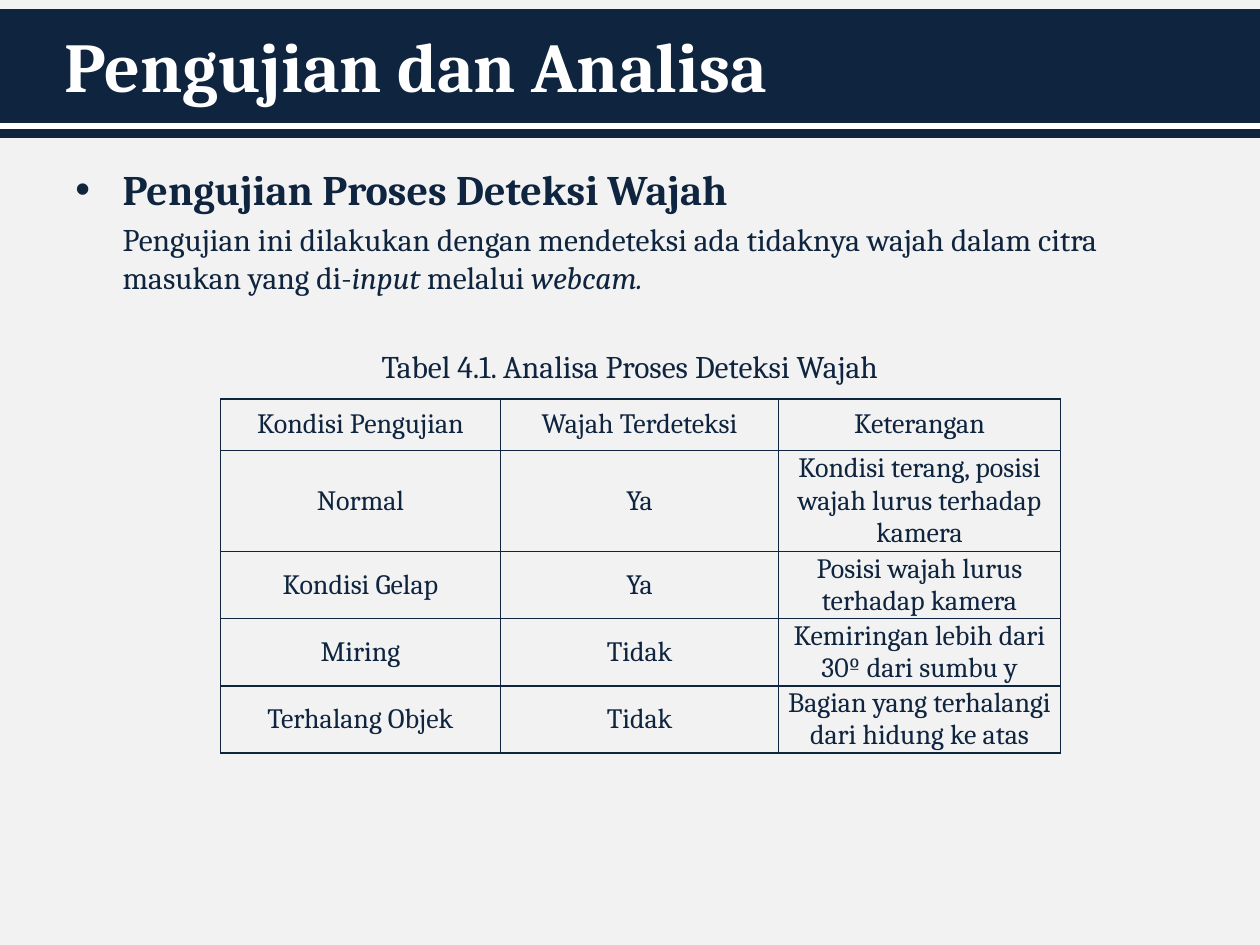
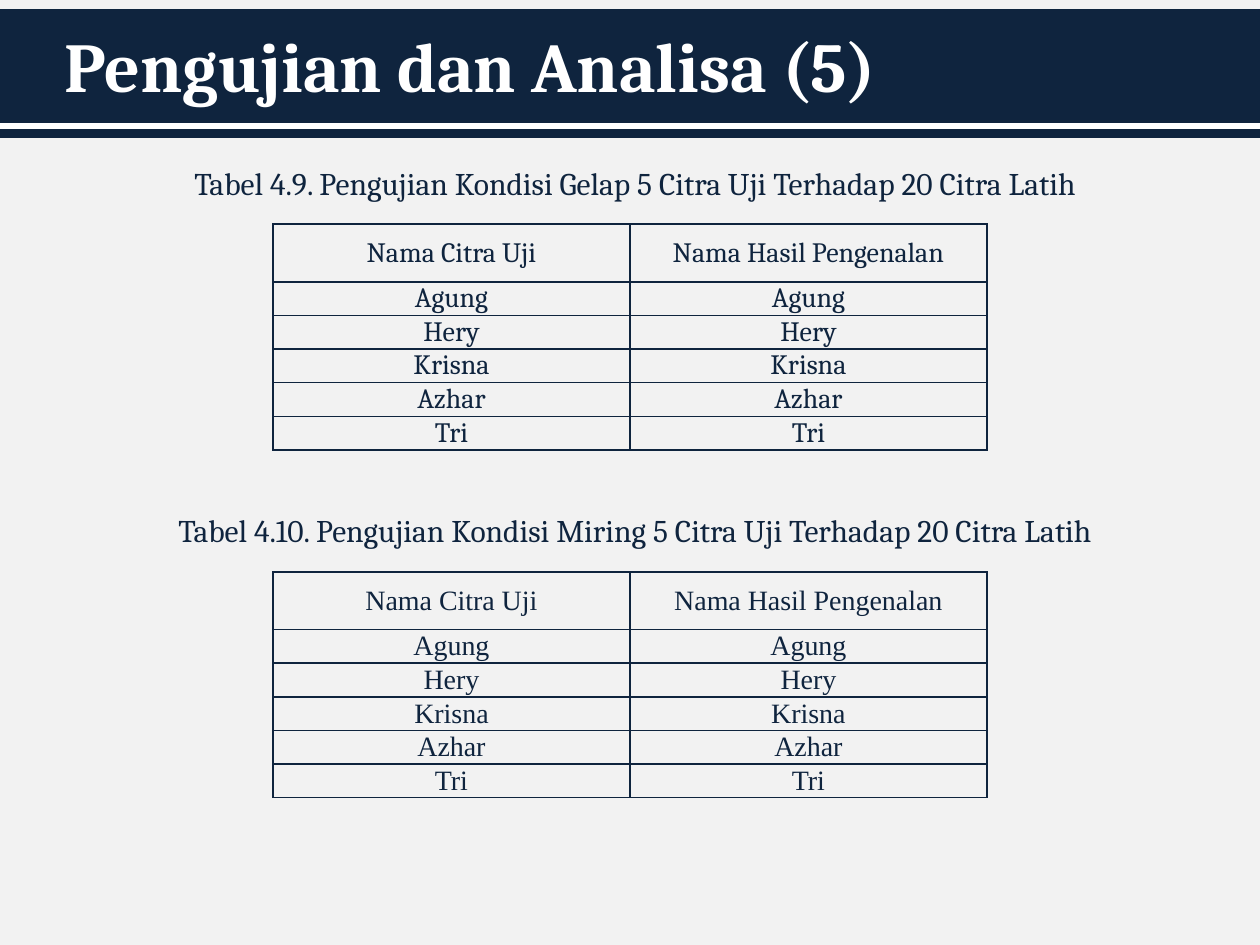
from lxml.etree import SubElement
from pptx import Presentation
from pptx.dml.color import RGBColor
from pptx.enum.shapes import MSO_CONNECTOR, MSO_SHAPE
from pptx.enum.text import MSO_ANCHOR, PP_ALIGN
from pptx.oxml.ns import qn
from pptx.util import Pt

NAVY = RGBColor(0x0F, 0x24, 0x3E)
WHITE = RGBColor(0xFF, 0xFF, 0xFF)
PALE = RGBColor(0xF2, 0xF2, 0xF2)
SERIF = "Cambria"
SLIDE_WIDTH, SLIDE_HEIGHT = 720, 540
BULLET_INDENT = 27

NAMES = ["Agung", "Hery", "Krisna", "Azhar", "Tri"]
RECOGNITION = [("Nama Citra Uji", "Nama Hasil Pengenalan")] + [(name, name) for name in NAMES]
DETECTION = [
    ("Kondisi Pengujian", "Wajah Terdeteksi", "Keterangan"),
    ("Normal", "Ya", "Kondisi terang, posisi wajah lurus terhadap kamera"),
    ("Kondisi Gelap", "Ya", "Posisi wajah lurus terhadap kamera"),
    ("Miring", "Tidak", "Kemiringan lebih dari 30º dari sumbu y"),
    ("Terhalang Objek", "Tidak", "Bagian yang terhalangi dari hidung ke atas"),
]
HEADING = "Pengujian Proses Deteksi Wajah"
EXPLANATION = [
    ("Pengujian ini dilakukan dengan mendeteksi ada tidaknya wajah dalam citra masukan yang di-", False),
    ("input ", True),
    ("melalui ", False),
    ("webcam.", True),
]
DETECTION_CAPTION = "Tabel 4.1. Analisa Proses Deteksi Wajah"
RECOGNITION_TESTS = [
    ("Tabel 4.9. Pengujian Kondisi Gelap 5 Citra Uji Terhadap 20 Citra Latih", SERIF),
    ("Tabel 4.10. Pengujian Kondisi Miring 5 Citra Uji Terhadap 20 Citra Latih", "Times New Roman"),
]


def write(paragraph, text, size=18, font=SERIF, color=NAVY, bold=False,
          align=PP_ALIGN.LEFT, before=0, indent=0, bullet=None):
    paragraph.alignment = align
    paragraph.space_before = Pt(before)
    runs = [(text, False)] if isinstance(text, str) else text
    for words, italic in runs:
        run = paragraph.add_run()
        run.text = words
        run.font.size, run.font.name = Pt(size), font
        run.font.bold, run.font.italic = bold, italic
        run.font.color.rgb = color
    properties = paragraph._p.get_or_add_pPr()
    properties.set("marL", str(Pt(indent)))
    properties.set("indent", str(Pt(-indent if bullet else 0)))
    if bullet:
        SubElement(properties, qn("a:buFont")).set("typeface", "Arial")
        SubElement(properties, qn("a:buChar")).set("char", bullet)


def add_frame(slide, left, top, width, height, anchor=MSO_ANCHOR.TOP):
    frame = slide.shapes.add_textbox(Pt(left), Pt(top), Pt(width), Pt(height)).text_frame
    frame.word_wrap = True
    frame.vertical_anchor = anchor
    return frame


def add_caption(slide, text, left, top, width):
    write(add_frame(slide, left, top, width, 29).paragraphs[0], text, align=PP_ALIGN.CENTER)


def add_titled_slide(title):
    slide = deck.slides.add_slide(deck.slide_layouts[6])
    band = slide.shapes.add_shape(MSO_SHAPE.RECTANGLE, 0, Pt(6), Pt(SLIDE_WIDTH), Pt(72))
    band.shadow.inherit = False
    band.fill.solid()
    band.fill.fore_color.rgb = NAVY
    band.line.color.rgb = NAVY
    band.line.width = Pt(2)
    stripe = slide.shapes.add_connector(MSO_CONNECTOR.STRAIGHT, 0, Pt(72), Pt(SLIDE_WIDTH), Pt(72))
    stripe.line.color.rgb = WHITE
    stripe.line.width = Pt(4)
    SubElement(stripe._element.spPr, qn("a:effectLst"))
    frame = add_frame(slide, 30, 0, 648, 74, MSO_ANCHOR.MIDDLE)
    write(frame.paragraphs[0], title, size=40, color=WHITE, bold=True)
    return slide


def outline(cell):
    properties = cell._tc.get_or_add_tcPr()
    for position, side in enumerate(("a:lnL", "a:lnR", "a:lnT", "a:lnB")):
        border = SubElement(properties, qn(side), w=str(Pt(1)))
        fill = SubElement(border, qn("a:solidFill"))
        SubElement(fill, qn("a:srgbClr"), val=str(NAVY))
        properties.insert(position, border)


def add_grid(slide, rows, left, top, widths, head_height, row_height, font=SERIF, before=0):
    heights = [head_height] + [row_height] * (len(rows) - 1)
    table = slide.shapes.add_table(len(rows), len(widths), Pt(left), Pt(top),
                                   Pt(sum(widths)), Pt(sum(heights))).table
    table.first_row = table.horz_banding = False
    for column, width in zip(table.columns, widths):
        column.width = Pt(width)
    for row, height, texts in zip(table.rows, heights, rows):
        row.height = Pt(height)
        for cell, text in zip(row.cells, texts):
            cell.fill.background()
            cell.vertical_anchor = MSO_ANCHOR.MIDDLE
            cell.margin_left = cell.margin_right = Pt(5)
            cell.margin_top = cell.margin_bottom = 0
            outline(cell)
            write(cell.text_frame.paragraphs[0], text, size=16, font=font,
                  align=PP_ALIGN.CENTER, before=before)


deck = Presentation()
deck.slide_width, deck.slide_height = Pt(SLIDE_WIDTH), Pt(SLIDE_HEIGHT)
backdrop = deck.slide_master.background.fill
backdrop.solid()
backdrop.fore_color.rgb = PALE

detection_slide = add_titled_slide("Pengujian dan Analisa")
body = add_frame(detection_slide, 36, 90, 648, 90)
write(body.paragraphs[0], HEADING, size=24, bold=True, indent=BULLET_INDENT, bullet="•")
write(body.add_paragraph(), EXPLANATION, before=3.6, indent=BULLET_INDENT)
add_caption(detection_slide, DETECTION_CAPTION, 36, 194.5, 648)
add_grid(detection_slide, DETECTION, 126, 228, [160, 159, 161], 29.5, 33)

recognition_slide = add_titled_slide("Pengujian dan Analisa (5)")
for number, (caption, font) in enumerate(RECOGNITION_TESTS):
    top = 90 + number * 198.75
    add_caption(recognition_slide, caption, 72, top, 582)
    add_grid(recognition_slide, RECOGNITION, 156, top + 38, [204, 204], 33, 14.4, font, before=6)

deck.save("out.pptx")
